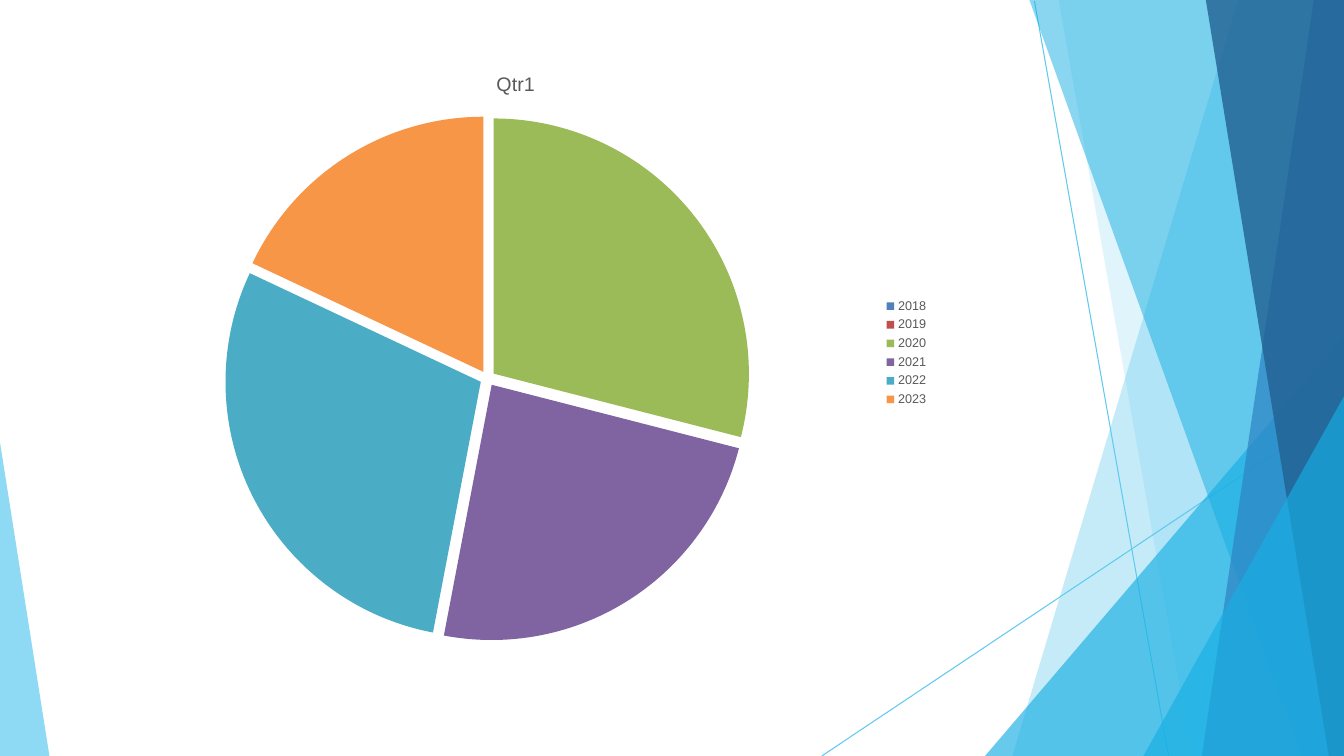
"""Build a slide with an exploded pie chart beside layered blue facets."""
from lxml.etree import SubElement
from pptx import Presentation
from pptx.chart.data import CategoryChartData
from pptx.dml.color import RGBColor
from pptx.enum.chart import XL_CHART_TYPE, XL_LEGEND_POSITION
from pptx.enum.shapes import MSO_CONNECTOR
from pptx.oxml import parse_xml
from pptx.oxml.ns import nsdecls, qn
from pptx.util import Inches, Pt


def color(hex_string):
    return RGBColor.from_string(hex_string)


def write(frame, text, size=14, ink="595959", font="Arial", bold=False):
    span = frame.paragraphs[0].add_run()
    span.text = text
    span.font.size = Pt(size)
    span.font.bold = bold
    span.font.name = font
    span.font.color.rgb = color(ink)


WIDTH, HEIGHT = 13.33, 7.5
deck = Presentation()
deck.slide_width, deck.slide_height = Inches(WIDTH), Inches(HEIGHT)
page = deck.slides.add_slide(deck.slide_layouts[6])

rays = [(10.26, 0.01, 11.59, HEIGHT), (WIDTH, 4.04, 8.15, HEIGHT)]
for ends in rays:
    ray = page.shapes.add_connector(MSO_CONNECTOR.STRAIGHT, *map(Inches, ends))
    ray.line.color.rgb = color("5FCAEE")
    ray.line.width = Pt(0.75)
    SubElement(ray._element.spPr, qn("a:effectLst"))

right_top, right_bottom = (WIDTH, 0), (WIDTH, HEIGHT)
facets = [
    ("5FCAEE", 36, [right_top, (12.28, 0), (10.04, HEIGHT), right_bottom]),
    ("5FCAEE", 20, [right_top, (10.5, 0), (11.82, HEIGHT), right_bottom]),
    ("17AFE3", 65, [(WIDTH, 3.33), (9.77, HEIGHT), right_bottom]),
    ("17AFE3", 50, [right_top, (10.21, 0), (12.91, HEIGHT), right_bottom]),
    ("2D83C3", 70, [right_top, (13.03, 0), (11.92, HEIGHT), right_bottom]),
    ("226192", 80, [right_top, (11.96, 0), (13.18, HEIGHT), right_bottom]),
    ("17AFE3", 65, [(WIDTH, 3.93), (11.34, HEIGHT), right_bottom]),
    ("5FCAEE", 70, [(0, 4.39), (0, HEIGHT), (0.49, HEIGHT)]),
]
for fill, opacity, corners in facets:
    points = [(Inches(x), Inches(y)) for x, y in corners]
    outline = page.shapes.build_freeform(*points[0])
    outline.add_line_segments(points[1:], close=True)
    facet = outline.convert_to_shape()
    facet.shadow.inherit = False
    facet.line.fill.background()
    facet.fill.solid()
    facet.fill.fore_color.rgb = color(fill)
    tint = facet._element.spPr.find(qn("a:solidFill"))[0]
    SubElement(tint, qn("a:alpha")).set("val", str(opacity * 1000))

data = CategoryChartData()
data.categories = ["2018", "2019", "2020", "2021", "2022", "2023"]
data.add_series("Series 1", [None, None, 29, 24, 29, 18])
data.add_series("Series 2", [None, 33, None, 24, 43, None])
data.add_series("Series 3", [32, 32, None, 11, None, 26])
data.add_series("Series 4", [29, 21, 14, 36, None, None])
frame = page.shapes.add_chart(
    XL_CHART_TYPE.PIE, Inches(0.92), Inches(0.5), Inches(8.39), Inches(6), data)
chart = frame.chart
chart.replace_data(data)
chart.font.size = Pt(10)
chart.font.name = "Arial"
chart.font.color.rgb = color("000000")

chart.has_title = True
chart.chart_title.include_in_layout = False
write(chart.chart_title.text_frame, "Qtr1")

chart.has_legend = True
chart.legend.position = XL_LEGEND_POSITION.RIGHT
chart.legend.include_in_layout = False
chart.legend.font.size = Pt(9)
chart.legend.font.name = "Arial"
chart.legend.font.color.rgb = color("595959")

plot = chart.plots[0]
plot.vary_by_categories = True
slice_fills = ["4F81BD", "C0504D", "9BBB59", "8064A2", "4BACC6", "F79646"]
for series in plot.series:
    for index, fill in enumerate(slice_fills):
        wedge = series.points[index].format
        wedge.fill.solid()
        wedge.fill.fore_color.rgb = color(fill)
        wedge.line.fill.background()
explosion = parse_xml(f'<c:explosion {nsdecls("c")} val="3"/>')
plot.series[0]._element.find(qn("c:dPt")).addprevious(explosion)

deck.save("out.pptx")
